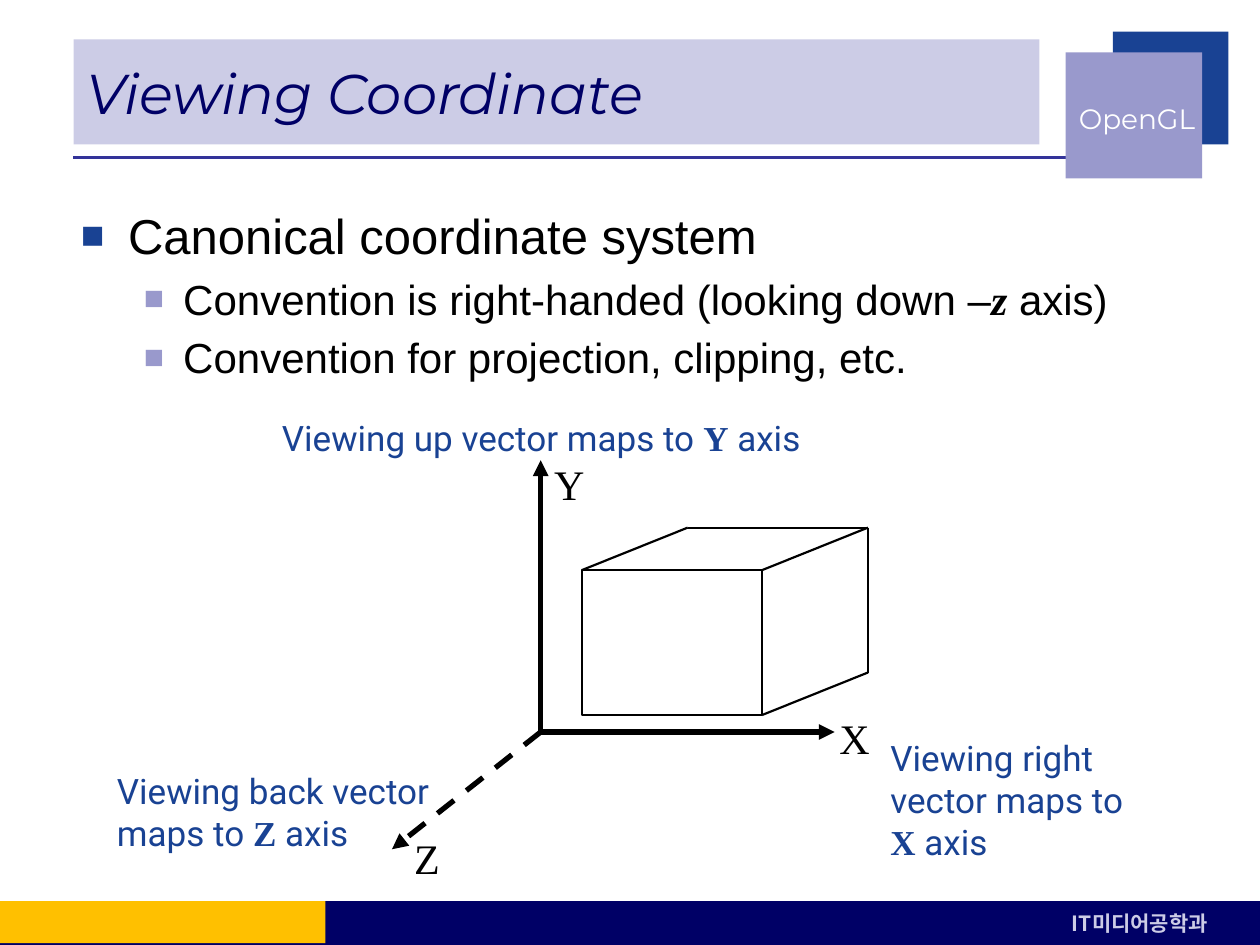
import pptx
import pptx.util
import pptx.dml.color
import pptx.enum.dml
import pptx.enum.shapes
import pptx.enum.text
import pptx.oxml
import pptx.oxml.ns
from lxml import etree

Pt = pptx.util.Pt
MIDDLE = pptx.enum.text.MSO_ANCHOR.MIDDLE
LEFT = pptx.enum.text.PP_ALIGN.LEFT
RIGHT = pptx.enum.text.PP_ALIGN.RIGHT

COLORS = {
    "navy": "000066", "blue": "194293", "violet": "9999CC", "lavender": "CCCCE6",
    "rule": "333399", "gold": "FFC000", "white": "FFFFFF", "black": "000000",
}
SANS, SERIF, DISPLAY, NOTE, KOREAN = (
    "Arial", "Times New Roman", "Montserrat", "Roboto", "Noto Sans CJK KR")

# Content: a run is (text, font, style), where style holds "b" and/or "i"
TITLE = [("Viewing Coordinate", DISPLAY, "i")]
BADGE = [("OpenGL", DISPLAY, "")]
DEPARTMENT = [("IT미디어공학과", KOREAN, "b")]

# level, size, left margin, hanging indent, space before, bullet colour, runs
BULLETS = [
    (0, 28, 27, 27, 0, "blue", [("Canonical coordinate system", SANS, "")]),
    (1, 24, 58.5, 22.5, 4.8, "violet", [
        ("Convention is right-handed (looking down –", SANS, ""),
        ("z", SERIF, "bi"), (" axis)", SANS, "")]),
    (1, 24, 58.5, 22.5, 4.8, "violet", [
        ("Convention for projection, clipping, etc.", SANS, "")]),
]

# (left, top, width, height), fill
BANDS = [
    ((636, 18, 66, 64.5), "blue"),
    ((609, 30, 78, 72), "violet"),
    ((0, 515, 720, 25), "navy"),
    ((0, 515, 186, 24), "gold"),
]

ORIGIN = (309, 418.3)
# axis name, tip, dashed, label corner
AXES = [
    ("Y", (309, 263), False, (309.5, 258.5)),
    ("X", (477, 418.3), False, (472.5, 403.5)),
    ("Z", (224, 485.3), True, (229.5, 472)),
]
# text before the axis name, axis name, place, first-line start
AXIS_NOTES = [
    ("Viewing up vector maps to ", "Y", (118, 234.5, 378, 30), 36),
    ("Viewing right vector maps to ", "X", (501.7, 417.5, 162, 79), 0),
    ("Viewing back vector maps to ", "Z", (59.7, 436, 204, 55.5), 0),
]

BOX_FRONT = (332.5, 325.8, 103, 82.8)
BOX_DEPTH = (60.5, -24.3)


def rgb(name):
    return pptx.dml.color.RGBColor.from_string(COLORS[name])


def points(values):
    return [Pt(value) for value in values]


def add_runs(paragraph, runs, size, color):
    for text, font, style in runs:
        run = paragraph.add_run()
        run.text = text
        run.font.name = font
        run.font.size = Pt(size)
        run.font.bold = "b" in style
        run.font.italic = "i" in style
        run.font.color.rgb = rgb(color)
        if font == KOREAN:
            east_asian = etree.SubElement(run.font._element, pptx.oxml.ns.qn("a:ea"))
            east_asian.set("typeface", font)


def add_label(slide, place, runs, size, color, align=LEFT, wrap=True):
    label = slide.shapes.add_textbox(*points(place))
    label.text_frame.word_wrap = wrap
    paragraph = label.text_frame.paragraphs[0]
    paragraph.alignment = align
    add_runs(paragraph, runs, size, color)
    return label


def add_rect(slide, place, fill=None, line=None):
    rect = slide.shapes.add_shape(
        pptx.enum.shapes.MSO_SHAPE.RECTANGLE, *points(place))
    rect.shadow.inherit = False
    if fill:
        rect.fill.solid()
        rect.fill.fore_color.rgb = rgb(fill)
    else:
        rect.fill.background()
    if line:
        rect.line.color.rgb = rgb(line)
        rect.line.width = Pt(1.25)
    else:
        rect.line.fill.background()


def add_line(slide, start, end, width, color="black", arrow=False, dashed=False):
    line = slide.shapes.add_connector(
        pptx.enum.shapes.MSO_CONNECTOR.STRAIGHT, *points((*start, *end)))
    line.line.color.rgb = rgb(color)
    line.line.width = Pt(width)
    if dashed:
        line.line.dash_style = pptx.enum.dml.MSO_LINE.DASH
    if arrow:
        tip = etree.SubElement(line.line._get_or_add_ln(), pptx.oxml.ns.qn("a:tailEnd"))
        tip.set("type", "triangle")
    etree.SubElement(line._element.spPr, pptx.oxml.ns.qn("a:effectLst"))


def add_bullet(paragraph, margin, hanging, color):
    properties = paragraph._p.get_or_add_pPr()
    properties.set("marL", str(Pt(margin)))
    properties.set("indent", str(-Pt(hanging)))
    for xml in (f'<a:buClr {{}}><a:srgbClr val="{COLORS[color]}"/></a:buClr>',
                '<a:buSzPct {} val="80000"/>',
                '<a:buChar {} char="■"/>'):
        properties.append(pptx.oxml.parse_xml(xml.format(pptx.oxml.ns.nsdecls("a"))))


def place_placeholder(placeholder, place):
    placeholder.left, placeholder.top, placeholder.width, placeholder.height = points(place)
    placeholder.text_frame.auto_size = pptx.enum.text.MSO_AUTO_SIZE.NONE
    return placeholder.text_frame


def main():
    deck = pptx.Presentation()
    deck.slide_width, deck.slide_height = Pt(720), Pt(540)
    slide = deck.slides.add_slide(deck.slide_layouts[1])

    # Title
    title = slide.shapes.title
    title.fill.solid()
    title.fill.fore_color.rgb = rgb("lavender")
    heading = place_placeholder(title, (42, 22.5, 552, 60))
    heading.vertical_anchor = MIDDLE
    heading.paragraphs[0].alignment = LEFT
    add_runs(heading.paragraphs[0], TITLE, 32, "navy")

    # Bullet list
    body = place_placeholder(slide.placeholders[1], (39, 114, 642, 372))
    for index, (level, size, margin, hanging, before, color, runs) in enumerate(BULLETS):
        paragraph = body.add_paragraph() if index else body.paragraphs[0]
        paragraph.level = level
        add_bullet(paragraph, margin, hanging, color)
        paragraph.space_before = Pt(before)
        add_runs(paragraph, runs, size, "black")

    # Header rule, corner squares and footer
    add_line(slide, (42, 90), (612, 90), 2.25, "rule")
    for place, fill in BANDS:
        add_rect(slide, place, fill)
    badge = add_label(slide, (609, 43.5, 81, 48), BADGE, 16, "white", RIGHT, wrap=False)
    badge.text_frame.vertical_anchor = MIDDLE
    badge.text_frame.margin_left = 0
    add_label(slide, (605.5, 517, 114, 21.5), DEPARTMENT, 12, "lavender")

    # Axes
    for name, tip, dashed, corner in AXES:
        add_line(slide, ORIGIN, tip, 3, arrow=True, dashed=dashed)
        add_label(slide, (*corner, 37.5, 36), [(name, SERIF, "")], 24, "black")

    # Canonical box: front face, three receding edges, two back edges
    add_rect(slide, BOX_FRONT, line="black")
    left, top, width, height = BOX_FRONT
    front = [(left, top), (left + width, top), (left + width, top + height)]
    back = [(x + BOX_DEPTH[0], y + BOX_DEPTH[1]) for x, y in front]
    for start, end in [*zip(front, back), *zip(back, back[1:])]:
        add_line(slide, start, end, 1.25)

    # Notes on the axes
    for text, axis, place, first_line in AXIS_NOTES:
        runs = [(text, NOTE, ""), (axis, SERIF, "b"), (" axis", NOTE, "")]
        note = add_label(slide, place, runs, 20, "blue")
        if first_line:
            note.text_frame.paragraphs[0]._p.get_or_add_pPr().set("indent", str(Pt(first_line)))

    deck.save("out.pptx")


if __name__ == "__main__":
    main()
